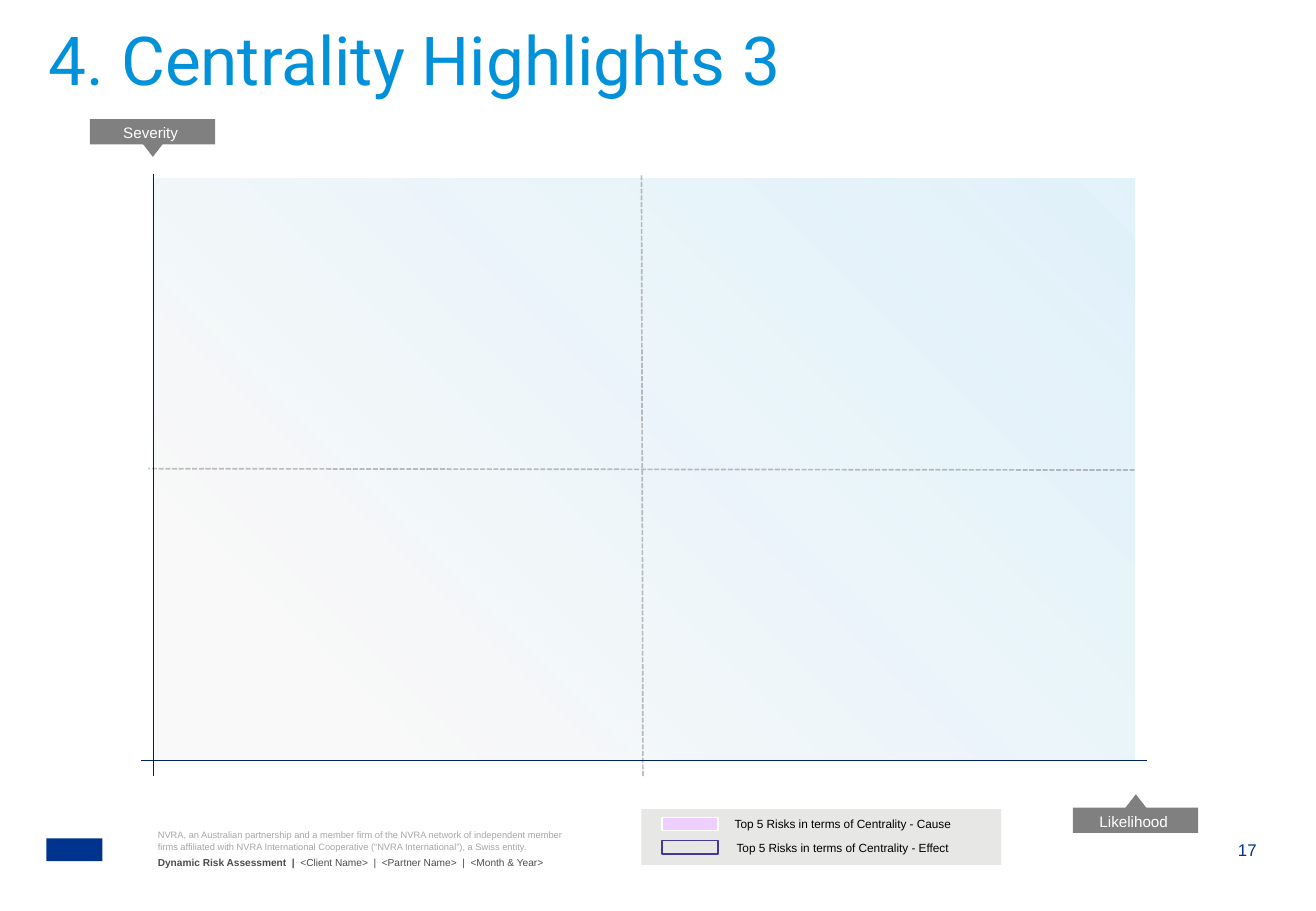
import pptx
import pptx.dml.color
import pptx.enum.dml
import pptx.enum.shapes
import pptx.enum.text
import pptx.oxml
import pptx.oxml.ns
import pptx.util
from lxml import etree

Cm = pptx.util.Cm
Pt = pptx.util.Pt
Shapes = pptx.enum.shapes.MSO_SHAPE
Align = pptx.enum.text.PP_ALIGN
Anchor = pptx.enum.text.MSO_ANCHOR


def colour(value):
    return pptx.dml.color.RGBColor.from_string(value)


class RiskPage:
    font = "Arial"
    heading_font = "Roboto"
    blue = "0091DA"
    navy = "00338D"
    axis = "002060"
    grey = "808080"

    def __init__(self, deck):
        self.page = deck.slides.add_slide(deck.slide_layouts[5])

    def set_alpha(self, element, percent):
        for choice in element.iter(pptx.oxml.ns.qn("a:srgbClr")):
            alpha = etree.SubElement(choice, pptx.oxml.ns.qn("a:alpha"))
            alpha.set("val", str(percent * 1000))

    def fill_text(self, holder, spans, size, tint, font=None, align=Align.LEFT,
                  anchor=Anchor.TOP, inset=0):
        frame = holder.text_frame
        frame.word_wrap = True
        frame.auto_size = pptx.enum.text.MSO_AUTO_SIZE.NONE
        frame.vertical_anchor = anchor
        frame.margin_left = frame.margin_right = Cm(inset)
        frame.margin_top = frame.margin_bottom = Cm(inset)
        para = frame.paragraphs[0]
        para.alignment = align
        for words, bold in spans:
            span = para.add_run()
            span.text = words
            span.font.name = font or self.font
            span.font.size = Pt(size)
            span.font.bold = bold
            span.font.color.rgb = colour(tint)

    def title(self, words):
        box = self.page.shapes.title
        box.left, box.top, box.width, box.height = Cm(1.02), Cm(0.28), Cm(25.48), Cm(1.88)
        self.fill_text(box, [(words, False)], 40, self.blue, self.heading_font,
                       anchor=Anchor.MIDDLE)

    def text(self, left, top, width, height, spans, size, tint, **layout):
        box = self.page.shapes.add_textbox(Cm(left), Cm(top), Cm(width), Cm(height))
        self.fill_text(box, spans, size, tint, **layout)

    def shape(self, left, top, width, height, fill=None, line=None, kind=Shapes.RECTANGLE):
        shape = self.page.shapes.add_shape(kind, Cm(left), Cm(top), Cm(width), Cm(height))
        shape.shadow.inherit = False
        if fill:
            shape.fill.solid()
            shape.fill.fore_color.rgb = colour(fill)
        else:
            shape.fill.background()
        if line:
            shape.line.color.rgb = colour(line)
            shape.line.width = Pt(0.75)
        else:
            shape.line.fill.background()
        return shape

    def gradient(self, left, top, width, height, stops):
        shape = self.shape(left, top, width, height)
        shape.fill.gradient()
        shape.fill.gradient_angle = 45
        for stop, (position, tint, alpha) in zip(shape.fill.gradient_stops, stops):
            stop.position = position
            stop.color.rgb = colour(tint)
        marks = shape.element.spPr.iter(pptx.oxml.ns.qn("a:gs"))
        for mark, (position, tint, alpha) in zip(marks, stops):
            self.set_alpha(mark, alpha)

    def line(self, start, end, tint, width, dashed=False):
        line = self.page.shapes.add_connector(
            pptx.enum.shapes.MSO_CONNECTOR.STRAIGHT,
            Cm(start[0]), Cm(start[1]), Cm(end[0]), Cm(end[1]))
        line.line.color.rgb = colour(tint)
        line.line.width = Pt(width)
        if dashed:
            line.line.dash_style = pptx.enum.dml.MSO_LINE.SQUARE_DOT
            self.set_alpha(line.element.spPr, 50)
        etree.SubElement(line.element.spPr, pptx.oxml.ns.qn("a:effectLst"))

    def axis_tag(self, left, top, words, pointer_shift, turn):
        self.shape(left, top, 2.62, 0.53, self.grey)
        pointer = self.shape(left + 1.06, top + pointer_shift, 0.51, 0.33, self.grey,
                             kind=Shapes.ISOSCELES_TRIANGLE)
        pointer.rotation = turn
        self.text(left + 0.23, top + 0.09, 2.08, 0.38, [(words, False)], 9, "FFFFFF",
                  align=Align.CENTER)

    def legend(self, left, top, entries):
        panel = self.shape(left, top, 7.52, 1.17, "CDCECC")
        self.set_alpha(panel.element.spPr, 48)
        for row, (words, fill, line) in enumerate(entries):
            self.shape(left + 0.43, top + 0.17 + row * 0.49, 1.17, 0.28, fill, line)
            self.text(left + 1.8 + row * 0.04, top + row * 0.52, 5.36, 0.45,
                      [(words, False)], 7, "000000", inset=0.15)


def main():
    deck = pptx.Presentation()
    deck.slide_width, deck.slide_height = Cm(27.51), Cm(19.05)
    risk = RiskPage(deck)

    risk.title("4. Centrality Highlights 3")
    risk.text(25.88, 17.55, 0.7, 0.43, [("17", False)], 10, risk.navy)
    risk.shape(0.97, 17.53, 1.17, 0.48, risk.navy)
    risk.text(3.3, 17.83, 20.8, 0.41, [
        ("Dynamic Risk Assessment  |  ", True),
        ("<Client Name>  |  <Partner Name>  |  <Month & Year>", False),
    ], 6, "4C4C4C", anchor=Anchor.MIDDLE)
    risk.text(3.3, 17.35, 8.61, 0.64, [(
        "NVRA, an Australian partnership and a member firm of the NVRA network of "
        "independent member firms affiliated with NVRA International Cooperative "
        "(“NVRA International”), a Swiss entity.", False)], 5.5, "A6A6A6")

    risk.gradient(3.2, 3.73, 20.52, 12.17,
                  [(0.17, "D9D9D9", 15), (1, risk.blue, 11)])
    risk.line((13.44, 16.23), (13.41, 3.63), risk.grey, 1, dashed=True)
    risk.line((23.72, 9.83), (3.1, 9.8), risk.grey, 1, dashed=True)
    risk.axis_tag(22.43, 16.89, "Likelihood", -0.28, 0)
    risk.axis_tag(1.88, 2.49, "Severity", 0.46, 180)
    risk.line((3.2, 3.63), (3.2, 16.23), risk.axis, 0.5)
    risk.line((2.95, 15.9), (23.98, 15.9), risk.axis, 0.5)

    risk.legend(13.41, 16.92, [
        ("Top 5 Risks in terms of Centrality - Cause", "EDD0FF", "FFFFFF"),
        ("Top 5 Risks in terms of Centrality - Effect", None, "483698"),
    ])
    deck.save("out.pptx")


if __name__ == "__main__":
    main()
